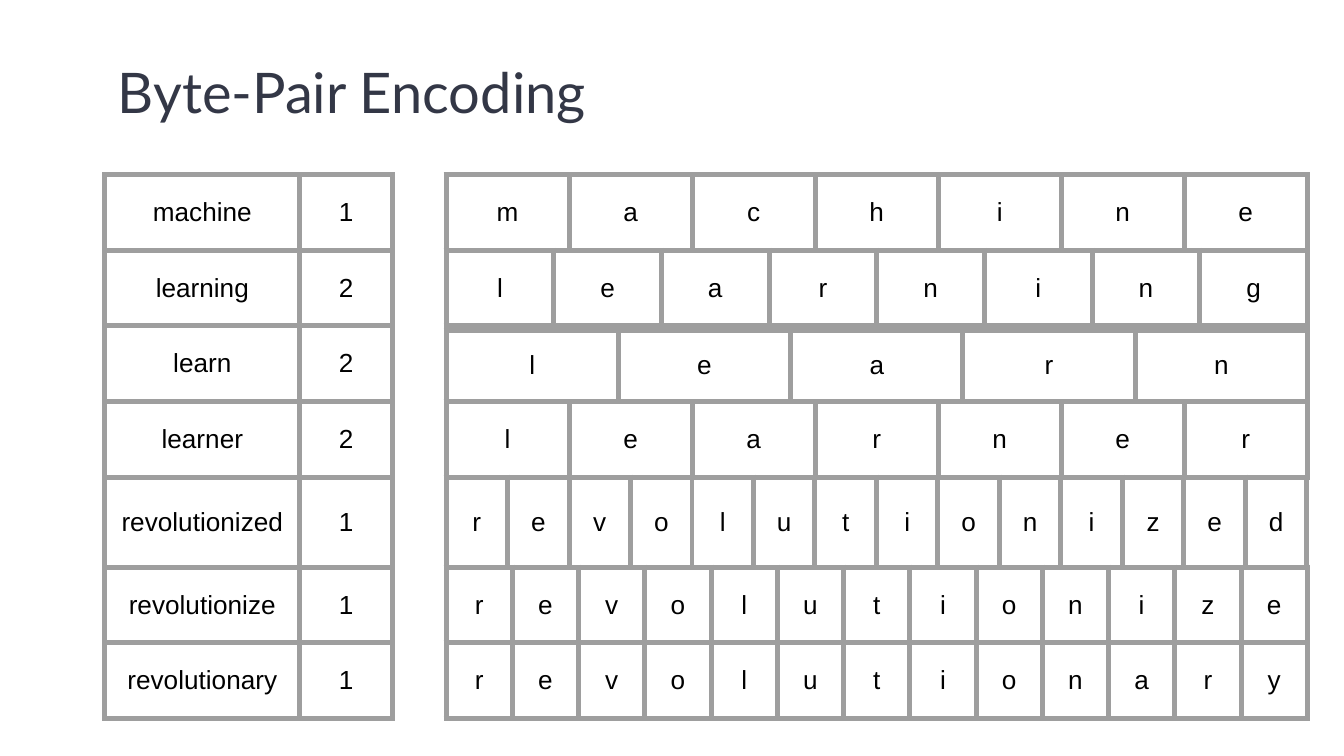
from lxml.etree import SubElement
from pptx import Presentation
from pptx.dml.color import RGBColor
from pptx.enum.text import MSO_ANCHOR, PP_ALIGN
from pptx.oxml import parse_xml
from pptx.oxml.ns import nsdecls, qn
from pptx.util import Cm, Pt

COLORS = {"title": "333746", "text": "000000", "border": "9E9E9E"}
FORMATS = {
    "title": {"name": "Lato", "size": Pt(30), "bold": False},
    "text": {"name": "Arial", "size": Pt(14), "bold": False},
}
INSETS = dict.fromkeys(
    ("margin_left", "margin_right", "margin_top", "margin_bottom"), Cm(0.25))
CELL_FORMAT = {**INSETS, "vertical_anchor": MSO_ANCHOR.MIDDLE}
TITLE_FRAME_FORMAT = {**INSETS, "vertical_anchor": MSO_ANCHOR.MIDDLE, "word_wrap": True}
PLAIN_TABLE = {"first_row": False, "horz_banding": False}

# Word, count, row height and gap above its letters, in centimetres
WORDS = [
    ("machine", 1, 1.43, 0),
    ("learning", 2, 1.43, 0),
    ("learn", 2, 1.43, 0.08),
    ("learner", 2, 1.43, 0),
    ("revolutionized", 1, 1.7, 0),
    ("revolutionize", 1, 1.43, 0),
    ("revolutionary", 1, 1.43, 0),
]


def set_attributes(target, values):
    for name, value in values.items():
        setattr(target, name, value)


def write_text(paragraph, text, role):
    paragraph.text = text
    font = paragraph.runs[0].font
    set_attributes(font, FORMATS[role])
    font.color.rgb = RGBColor.from_string(COLORS[role])


def add_borders(cell):
    properties = cell._tc.get_or_add_tcPr()
    for index, side in enumerate(("lnL", "lnR", "lnT", "lnB")):
        line = parse_xml(f'<a:{side} {nsdecls("a")} w="{Pt(3)}"/>')
        fill = SubElement(line, qn("a:solidFill"))
        SubElement(fill, qn("a:srgbClr"), val=COLORS["border"])
        properties.insert(index, line)


def add_grid(slide, left, top, column_widths, row_heights, rows):
    """Add a bordered table of centred text; lengths are in centimetres."""
    table = slide.shapes.add_table(
        len(row_heights), len(column_widths), Cm(left), Cm(top),
        Cm(sum(column_widths)), Cm(sum(row_heights))).table
    set_attributes(table, PLAIN_TABLE)
    for column, width in zip(table.columns, column_widths):
        column.width = Cm(width)
    for row, height, texts in zip(table.rows, row_heights, rows):
        row.height = Cm(height)
        for cell, text in zip(row.cells, texts):
            set_attributes(cell, CELL_FORMAT)
            cell.fill.background()
            add_borders(cell)
            paragraph = cell.text_frame.paragraphs[0]
            paragraph.alignment = PP_ALIGN.CENTER
            write_text(paragraph, text, "text")


def add_title(slide, left, top, width, height):
    box = slide.shapes.add_textbox(Cm(left), Cm(top), Cm(width), Cm(height))
    set_attributes(box.text_frame, TITLE_FRAME_FORMAT)
    paragraph = box.text_frame.paragraphs[0]
    paragraph.line_spacing = 1.15
    write_text(paragraph, "Byte-Pair Encoding", "title")


def add_word_counts(slide, left, top, width):
    count_width = 1.74
    add_grid(slide, left, top, [width - count_width, count_width],
             [height for _, _, height, _ in WORDS],
             [(word, str(count)) for word, count, _, _ in WORDS])


def add_letter_rows(slide, left, top, width):
    """Split each word into equal cells, one table per word."""
    for word, _, height, gap in WORDS:
        add_grid(slide, left, top + gap, [width / len(word)] * len(word),
                 [height - gap], [word])
        top += height


def main():
    presentation = Presentation()
    presentation.slide_width, presentation.slide_height = Cm(25.4), Cm(14.29)
    slide = presentation.slides.add_slide(presentation.slide_layouts[6])
    add_title(slide, 1.98, 0.64, 21.08, 1.96)
    add_word_counts(slide, 1.98, 3.3, 5.43)
    add_letter_rows(slide, 8.43, 3.3, 16.28)
    presentation.save("out.pptx")


if __name__ == "__main__":
    main()
